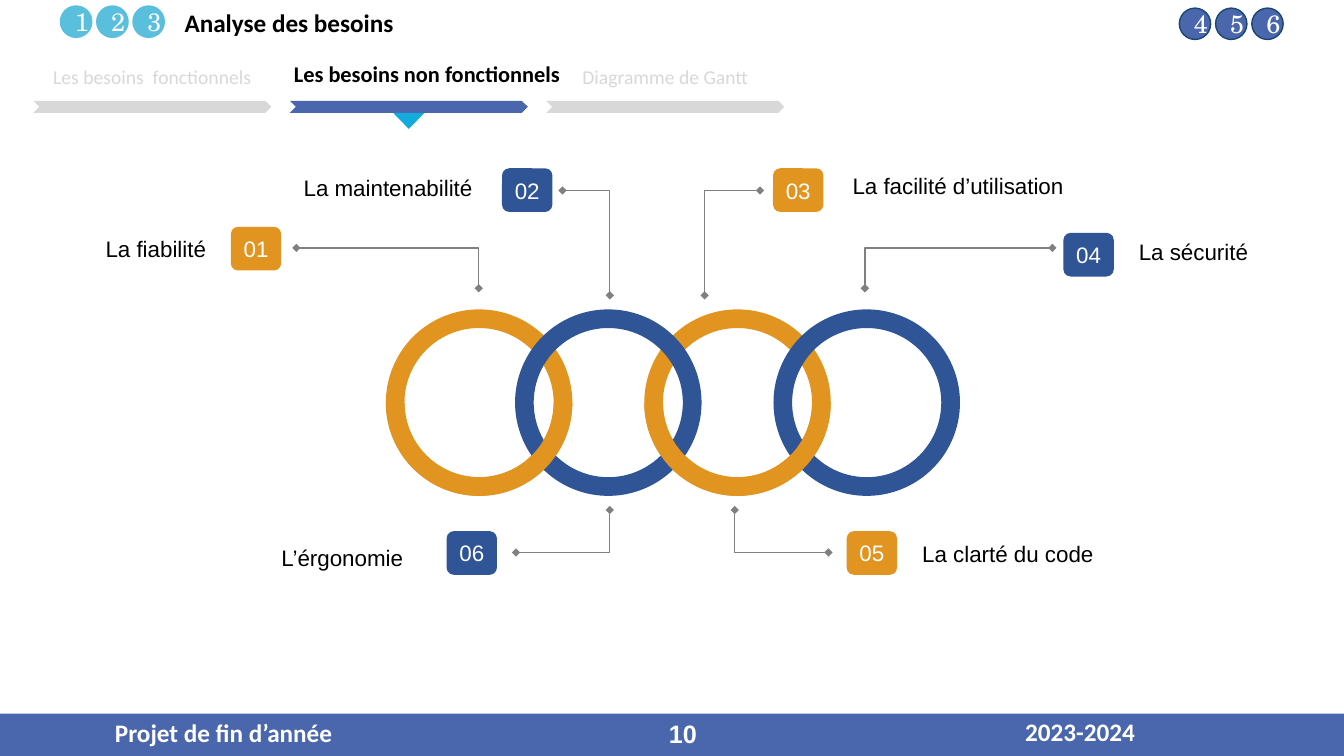
from dataclasses import dataclass

from lxml.etree import SubElement
from pptx import Presentation
from pptx.dml.color import RGBColor
from pptx.enum.shapes import MSO_SHAPE
from pptx.enum.text import MSO_ANCHOR, PP_ALIGN
from pptx.oxml.ns import qn
from pptx.util import Pt


@dataclass(frozen=True)
class Theme:
    bar: str = "4A66AC"
    done: str = "5ABEDD"
    outline: str = "1A4770"
    idle: str = "D8D8D8"
    marker: str = "12ABDB"
    orange: str = "E19520"
    blue: str = "2F5597"
    leader: str = "808080"
    black: str = "000000"
    white: str = "FFFFFF"
    heading: int = 18
    label: int = 16
    tab: int = 14
    sans: str = "Calibri"
    body: str = "Arial"
    serif: str = "TeX Gyre Schola"


T = Theme()

# Interlocked rings: left of the first, top, spacing, diameter, relative thickness
RING_LEFT, RING_TOP, RING_STEP = 275.6, 221, 92.3
RING_SIZE, RING_BAND = 133.2, 0.1

TABS = [  # label, left, top, width, active
    ("Les besoins  fonctionnels", 23.8, 42.5, 170, False),
    ("Les besoins non fonctionnels", 200.2, 39.6, 209.5, True),
    ("Diagramme de Gantt", 390.2, 42.5, 170, False),
]

NEEDS = [  # label, (left, top, width), badge corner, leader start, leader end
    ("La fiabilité", (45.4, 167.8, 131.8), (164.9, 162), (342, 205.9), (211.7, 177.1)),
    ("La maintenabilité", (183.6, 124.6, 187.2), (358.6, 120.2), (435.6, 211), (401.8, 136.1)),
    ("La facilité d’utilisation", (565.9, 123.1, 236.9), (552.2, 120.2), (503.3, 211), (542.9, 136.1)),
    ("La sécurité", (771.1, 169.9, 162.7), (759.6, 166.3), (617.8, 205.9), (751.7, 177.1)),
    ("La clarté du code", (651.6, 385.9, 271.4), (604.8, 379.4), (524.9, 364.3), (591.8, 394.6)),
    ("L’érgonomie", (169.2, 388.8, 150.5), (319, 379.4), (435.6, 364.3), (368.6, 394.6)),
]


def rgb(color):
    return RGBColor.from_string(color)


def write(sp, text, size=T.label, font=T.body, color=T.black, bold=False,
          align=PP_ALIGN.LEFT, anchor=MSO_ANCHOR.TOP, insets=(7.2, 3.6, 7.2, 3.6)):
    tf = sp.text_frame
    tf.word_wrap = True
    tf.vertical_anchor = anchor
    tf.margin_left, tf.margin_top, tf.margin_right, tf.margin_bottom = map(Pt, insets)
    p = tf.paragraphs[0]
    p.alignment = align
    r = p.add_run()
    r.text = text
    r.font.size, r.font.name, r.font.bold = Pt(size), font, bold
    r.font.color.rgb = rgb(color)


def add_text(s, text, left, top, width, height, **fmt):
    write(s.shapes.add_textbox(*map(Pt, (left, top, width, height))), text, **fmt)


def add_block(s, kind, left, top, width, height, fill, line=None):
    sp = s.shapes.add_shape(kind, *map(Pt, (left, top, width, height)))
    sp.shadow.inherit = False
    sp.fill.solid()
    sp.fill.fore_color.rgb = rgb(fill)
    if line:
        sp.line.color.rgb = rgb(line)
        sp.line.width = Pt(1)
    else:
        sp.line.fill.background()
    return sp


def add_steps(s, first, left, top, fill, line):
    """Three numbered discs in a row."""
    for i in range(3):
        sp = add_block(s, MSO_SHAPE.OVAL, left + 25.9 * i, top, 22.4, 22.4, fill, line)
        write(sp, str(first + i), size=T.heading, font=T.serif, color=T.white,
              align=PP_ALIGN.CENTER, anchor=MSO_ANCHOR.MIDDLE)


def add_leader(s, start, end):
    """Vertical then horizontal line with a diamond at both ends."""
    corner = (start[0], end[1])
    points = [(Pt(x), Pt(y)) for x, y in (start, corner, end)]
    fb = s.shapes.build_freeform(*points[0])
    fb.add_line_segments(points[1:], close=False)
    sp = fb.convert_to_shape()
    sp.shadow.inherit = False
    sp.fill.background()
    sp.line.color.rgb = rgb(T.leader)
    sp.line.width = Pt(1)
    ln = sp.line._get_or_add_ln()
    for tag in ("a:headEnd", "a:tailEnd"):
        SubElement(ln, qn(tag), type="diamond")


def add_ring(s, index, kind, color):
    sp = add_block(s, kind, RING_LEFT + RING_STEP * index, RING_TOP, RING_SIZE, RING_SIZE, color)
    # Thickness is the last adjustment of both donut and block arc
    sp.adjustments[len(sp.adjustments) - 1] = RING_BAND
    return sp


def add_chain(s):
    """Blue rings pass over the orange ones at the top, under them at the bottom."""
    for index, color in ((0, T.orange), (2, T.orange), (1, T.blue), (3, T.blue)):
        add_ring(s, index, MSO_SHAPE.DONUT, color)
    for index in (0, 2):
        add_ring(s, index, MSO_SHAPE.BLOCK_ARC, T.orange).rotation = 180


def add_need(s, number, label, box, badge, start, end):
    add_leader(s, start, end)
    fill = T.orange if number % 2 else T.blue
    sp = add_block(s, MSO_SHAPE.ROUNDED_RECTANGLE, *badge, 36, 31.2, fill)
    write(sp, f"{number:02}", color=T.white, align=PP_ALIGN.CENTER, anchor=MSO_ANCHOR.MIDDLE)
    align = PP_ALIGN.LEFT if number == 5 else PP_ALIGN.CENTER
    add_text(s, label, *box, 19.4, align=align, insets=(7.2, 0, 7.2, 0))


def add_footer(s):
    add_block(s, MSO_SHAPE.RECTANGLE, 0, 509.8, 960, 30.2, T.bar)
    for text, left, top, width in (("Projet de fin d’année", 78.5, 512.6, 193),
                                   ("2023-2024", 728.6, 511.9, 152.6)):
        add_text(s, text, left, top, width, 21.6, size=T.heading, font=T.sans,
                 color=T.white, bold=True, insets=(3.6, 0, 2.2, 0))
    add_text(s, "10", 455.8, 509.8, 49, 28.8, size=T.heading, color=T.white, bold=True,
             align=PP_ALIGN.RIGHT, anchor=MSO_ANCHOR.MIDDLE)


def add_tabs(s):
    for i, (text, left, top, width, active) in enumerate(TABS):
        bar_left = 23.8 + 183.2 * i
        add_block(s, MSO_SHAPE.CHEVRON, bar_left, 72, 170, 8.6, T.bar if active else T.idle)
        add_text(s, text, left, top, width, 24.5, font=T.sans, bold=active,
                 size=T.label if active else T.tab,
                 color=T.black if active else T.idle, align=PP_ALIGN.CENTER)
        if active:
            sp = add_block(s, MSO_SHAPE.ISOSCELES_TRIANGLE, bar_left + 73.8, 80.6, 22.4, 11.5, T.marker)
            sp.rotation = 180


def main():
    prs = Presentation()
    prs.slide_width, prs.slide_height = Pt(960), Pt(540)
    s = prs.slides.add_slide(prs.slide_layouts[5])

    # Header
    title = s.shapes.title
    title.left, title.top, title.width, title.height = map(Pt, (124.6, 1.4, 395.3, 28.8))
    write(title, "Analyse des besoins", size=T.heading, font=T.sans, bold=True)
    add_steps(s, 1, 43.2, 4.3, T.done, T.done)
    add_steps(s, 4, 842.4, 5.8, T.bar, T.outline)
    add_tabs(s)

    # Rings and the needs around them
    add_chain(s)
    for number, need in enumerate(NEEDS, 1):
        add_need(s, number, *need)

    add_footer(s)
    prs.save("out.pptx")


if __name__ == "__main__":
    main()
